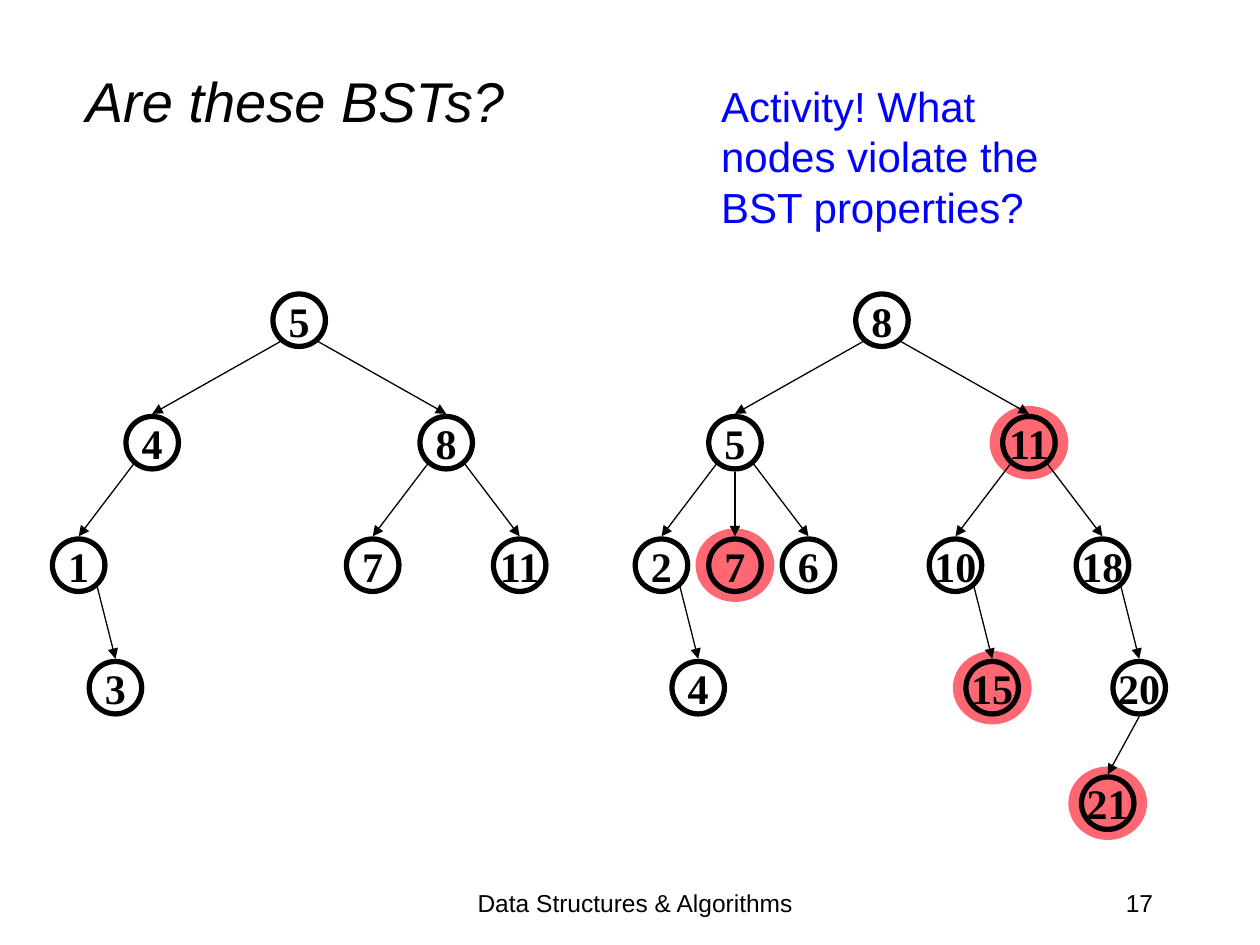
import pptx
import pptx.util
import pptx.dml.color
import pptx.enum.shapes
import pptx.enum.text
import pptx.oxml.ns
from lxml import etree

Pt = pptx.util.Pt
ALIGN = pptx.enum.text.PP_ALIGN
ANCHOR = pptx.enum.text.MSO_ANCHOR
OVAL = pptx.enum.shapes.MSO_SHAPE.OVAL
COLORS = {"ink": "000000", "question": "0000FF", "violation": "FF6873"}

NODE = 30
HALO_WIDTH, HALO_HEIGHT = 45, 42
LEVELS = [183, 253, 323, 393, 459]
SIDE_X, SIDE_Y = 10.5, 12    # where a slanted edge leaves its parent
GAP = 1.5                    # half the node outline

# Each node: label, x offset from the root, level, parent index, violates
LEFT_TREE = [
    ("5", 0, 0, None, False),
    ("4", -84, 1, 0, False), ("8", 84, 1, 0, False),
    ("1", -126, 2, 1, False), ("7", 42, 2, 2, False), ("11", 126, 2, 2, False),
    ("3", -105, 3, 3, False),
]
RIGHT_TREE = [
    ("8", 0, 0, None, False),
    ("5", -84, 1, 0, False), ("11", 84, 1, 0, True),
    ("2", -126, 2, 1, False), ("7", -84, 2, 1, True), ("6", -42, 2, 1, False),
    ("10", 42, 2, 2, False), ("18", 126, 2, 2, False),
    ("4", -105, 3, 3, False), ("15", 63, 3, 6, True), ("20", 147, 3, 7, False),
    ("21", 129, 4, 10, True),
]
TREES = [(171, LEFT_TREE), (504, RIGHT_TREE)]


def rgb(name):
    return pptx.dml.color.RGBColor.from_string(COLORS[name])


def add_run(paragraph, text, size, color="ink", font="Arial", bold=False, italic=False):
    run = paragraph.add_run()
    run.text = text
    run.font.name = font
    run.font.size = Pt(size)
    run.font.bold = bold
    run.font.italic = italic
    run.font.color.rgb = rgb(color)


def add_text(slide, box, text, size, align=ALIGN.LEFT, anchor=ANCHOR.TOP, **style):
    frame = slide.shapes.add_textbox(*map(Pt, box)).text_frame
    frame.word_wrap = True
    frame.vertical_anchor = anchor
    frame.paragraphs[0].alignment = align
    add_run(frame.paragraphs[0], text, size, **style)


def add_oval(shapes, x, y, width, height):
    """Add an ellipse centred on x, y."""
    oval = shapes.add_shape(OVAL, Pt(x - width / 2), Pt(y - height / 2),
                            Pt(width), Pt(height))
    oval.shadow.inherit = False
    return oval


def add_halo(shapes, x, y):
    halo = add_oval(shapes, x, y, HALO_WIDTH, HALO_HEIGHT)
    halo.fill.solid()
    halo.fill.fore_color.rgb = rgb("violation")
    halo.line.fill.background()


def add_node(shapes, x, y, label):
    node = add_oval(shapes, x, y, NODE, NODE)
    node.fill.background()
    node.line.color.rgb = rgb("ink")
    node.line.width = Pt(3)
    frame = node.text_frame
    frame.word_wrap = False
    frame.vertical_anchor = ANCHOR.MIDDLE
    frame.paragraphs[0].alignment = ALIGN.CENTER
    add_run(frame.paragraphs[0], label, 24, font="Times New Roman", bold=True)


def add_edge(shapes, parent, child):
    """Draw an arrow from the parent's lower side, or its bottom, to the child's top."""
    (px, py), (cx, cy) = parent, child
    from_bottom = cx == px or cy == LEVELS[-1]
    if from_bottom:
        start_x, start_y = px, py + NODE / 2 + GAP
    else:
        start_x, start_y = px + (SIDE_X if cx > px else -SIDE_X), py + SIDE_Y
    edge = shapes.add_connector(pptx.enum.shapes.MSO_CONNECTOR.STRAIGHT,
                                Pt(start_x), Pt(start_y),
                                Pt(cx), Pt(cy - NODE / 2 - GAP))
    edge.line.color.rgb = rgb("ink")
    edge.line.width = Pt(0.75)
    qn = pptx.oxml.ns.qn
    etree.SubElement(edge.line._get_or_add_ln(), qn("a:tailEnd"), type="triangle")
    etree.SubElement(edge._element.spPr, qn("a:effectLst"))


def add_tree(slide, root_x, nodes):
    centers = [(root_x + dx, LEVELS[level]) for _, dx, level, _, _ in nodes]
    for center, (*_, violates) in zip(centers, nodes):
        if violates:
            add_halo(slide.shapes, *center)
    tree = slide.shapes.add_group_shape().shapes
    for center, (label, _, _, parent, _) in zip(centers, nodes):
        add_node(tree, *center, label)
        if parent is not None:
            add_edge(tree, centers[parent], center)


def main():
    deck = pptx.Presentation()
    deck.slide_width, deck.slide_height = Pt(720), Pt(540)
    slide = deck.slides.add_slide(deck.slide_layouts[6])
    add_text(slide, (42, 12, 636, 90), "Are these BSTs?", 32,
             anchor=ANCHOR.MIDDLE, italic=True)
    for root_x, nodes in TREES:
        add_tree(slide, root_x, nodes)
    add_text(slide, (516, 504, 150, 36), "17", 14, align=ALIGN.RIGHT)
    add_text(slide, (228, 504, 270, 36), "Data Structures & Algorithms", 14,
             align=ALIGN.CENTER)
    add_text(slide, (405, 42.5, 216, 94.5),
             "Activity! What nodes violate the BST properties?", 24, color="question")
    deck.save("out.pptx")


if __name__ == "__main__":
    main()
